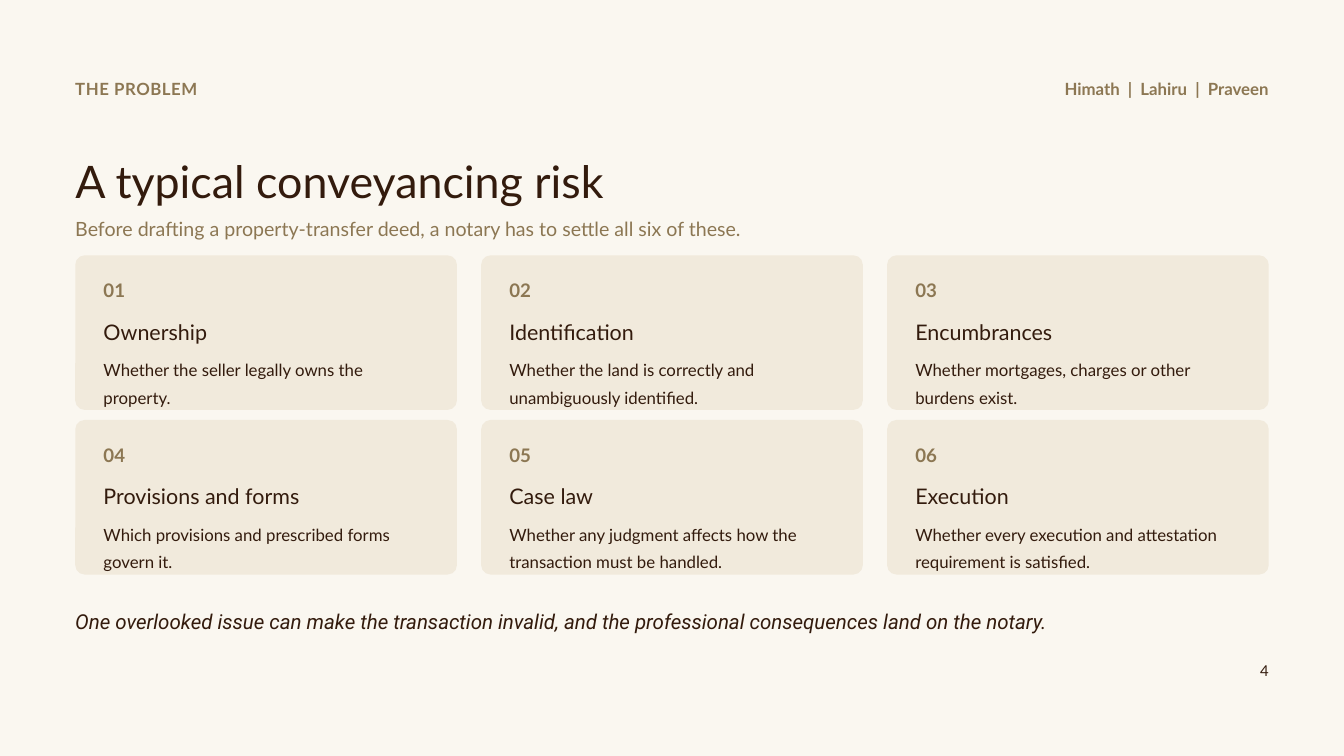
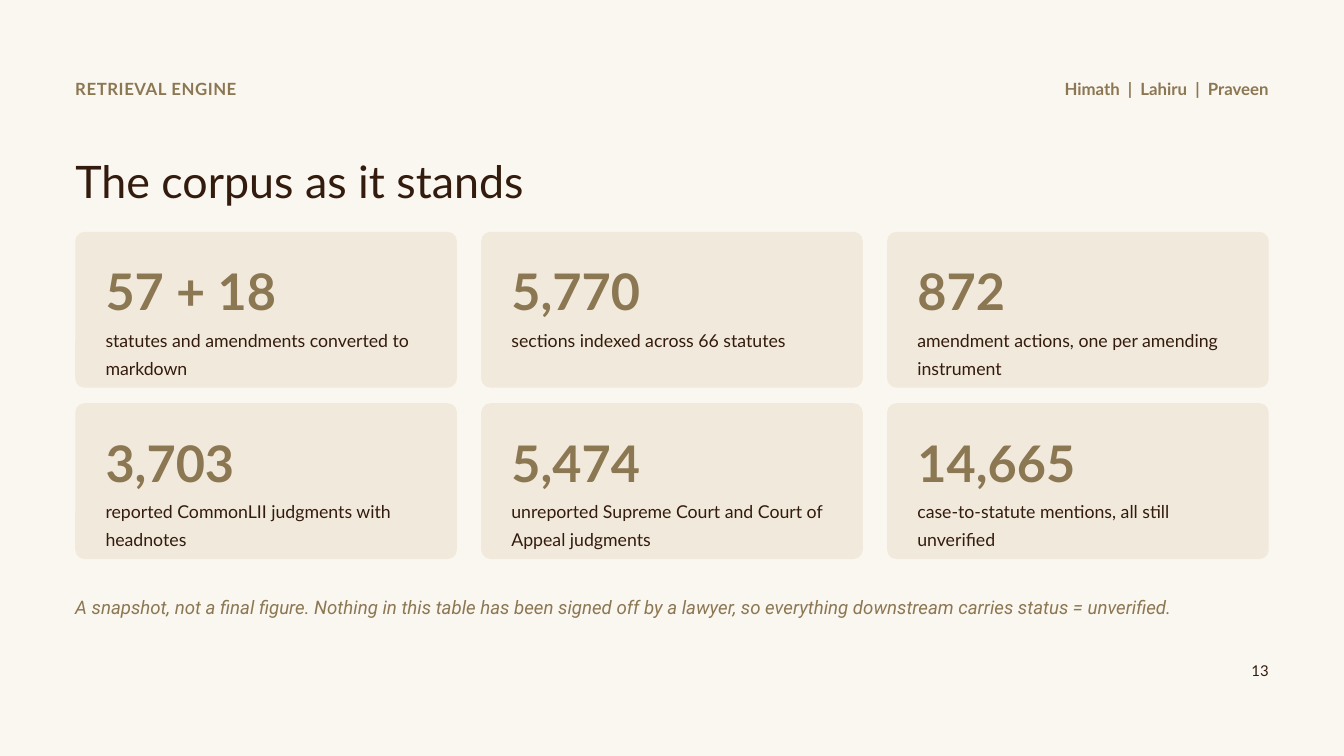
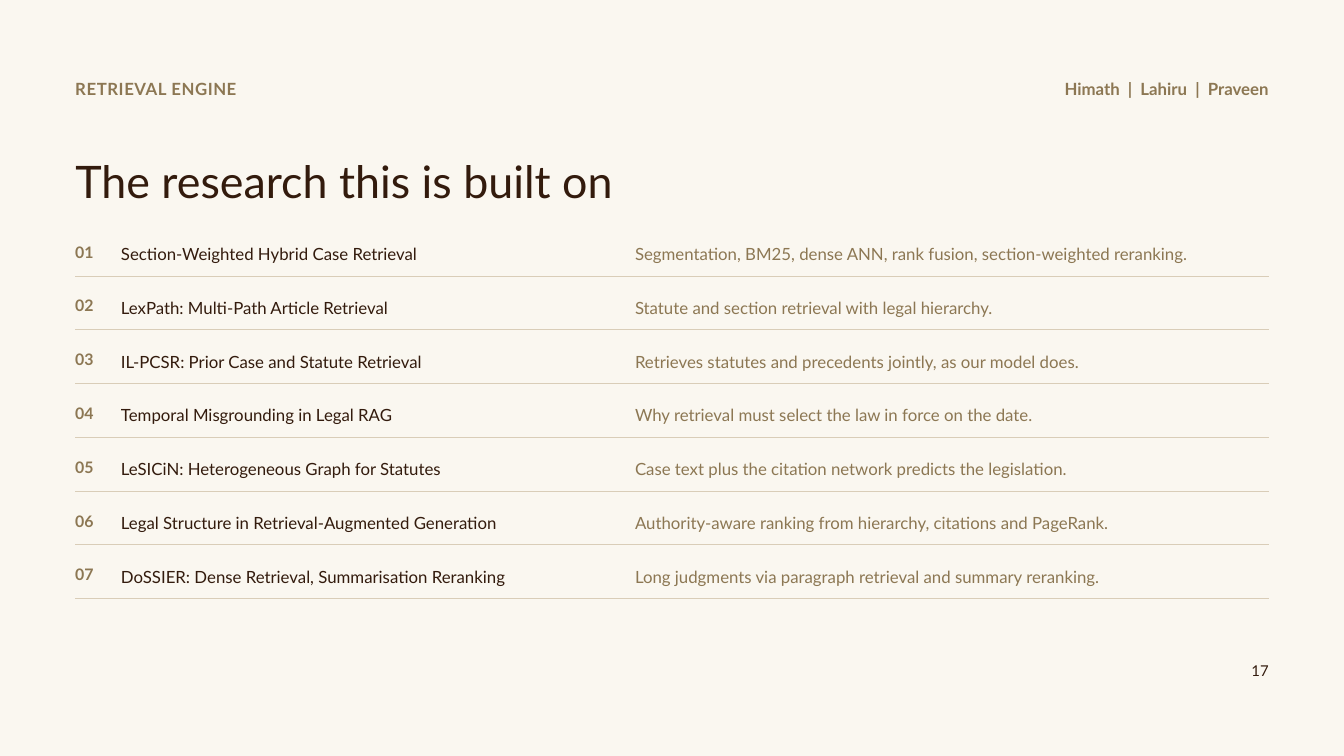
from lxml import etree
from pptx import Presentation
from pptx.dml.color import RGBColor
from pptx.enum.shapes import MSO_CONNECTOR, MSO_SHAPE
from pptx.enum.text import MSO_ANCHOR, MSO_AUTO_SIZE, PP_ALIGN
from pptx.oxml.ns import qn
from pptx.util import Pt

ROUNDED = MSO_SHAPE.ROUNDED_RECTANGLE
STRAIGHT = MSO_CONNECTOR.STRAIGHT
TOP = MSO_ANCHOR.TOP
GROW = MSO_AUTO_SIZE.SHAPE_TO_FIT_TEXT
LEFT, RIGHT = PP_ALIGN.LEFT, PP_ALIGN.RIGHT

CREAM = RGBColor(0xFA, 0xF7, 0xF0)
SAND = RGBColor(0xF1, 0xEA, 0xDC)
RULE = RGBColor(0xD9, 0xCD, 0xB8)
BRONZE = RGBColor(0x8C, 0x77, 0x53)
BROWN = RGBColor(0x33, 0x1B, 0x0D)

AUTHORS = "Himath  |  Lahiru  |  Praveen"

RISK = {
    "section": "THE PROBLEM",
    "title": "A typical conveyancing risk",
    "number": 4,
    "subtitle": "Before drafting a property-transfer deed, a notary has to settle all six of these.",
    "cards": [
        ("Ownership", "Whether the seller legally owns the property."),
        ("Identification", "Whether the land is correctly and unambiguously identified."),
        ("Encumbrances", "Whether mortgages, charges or other burdens exist."),
        ("Provisions and forms", "Which provisions and prescribed forms govern it."),
        ("Case law", "Whether any judgment affects how the transaction must be handled."),
        ("Execution", "Whether every execution and attestation requirement is satisfied."),
    ],
    "closing": "One overlooked issue can make the transaction invalid, "
               "and the professional consequences land on the notary.",
}
CORPUS = {
    "section": "RETRIEVAL ENGINE",
    "title": "The corpus as it stands",
    "number": 13,
    "cards": [
        ("57 + 18", "statutes and amendments converted to markdown"),
        ("5,770", "sections indexed across 66 statutes"),
        ("872", "amendment actions, one per amending instrument"),
        ("3,703", "reported CommonLII judgments with headnotes"),
        ("5,474", "unreported Supreme Court and Court of Appeal judgments"),
        ("14,665", "case-to-statute mentions, all still unverified"),
    ],
    "closing": "A snapshot, not a final figure. Nothing in this table has been signed off "
               "by a lawyer, so everything downstream carries status = unverified.",
}
RESEARCH = {
    "section": "RETRIEVAL ENGINE",
    "title": "The research this is built on",
    "number": 17,
    "papers": [
        ("Section-Weighted Hybrid Case Retrieval",
         "Segmentation, BM25, dense ANN, rank fusion, section-weighted reranking."),
        ("LexPath: Multi-Path Article Retrieval",
         "Statute and section retrieval with legal hierarchy."),
        ("IL-PCSR: Prior Case and Statute Retrieval",
         "Retrieves statutes and precedents jointly, as our model does."),
        ("Temporal Misgrounding in Legal RAG",
         "Why retrieval must select the law in force on the date."),
        ("LeSICiN: Heterogeneous Graph for Statutes",
         "Case text plus the citation network predicts the legislation."),
        ("Legal Structure in Retrieval-Augmented Generation",
         "Authority-aware ranking from hierarchy, citations and PageRank."),
        ("DoSSIER: Dense Retrieval, Summarisation Reranking",
         "Long judgments via paragraph retrieval and summary reranking."),
    ],
}

PAGE_WIDTH, PAGE_HEIGHT = 1440, 810
MARGIN = 80.64
CONTENT_WIDTH = PAGE_WIDTH - 2 * MARGIN
RIGHT_EDGE = PAGE_WIDTH - MARGIN
COLUMNS = 3
COLUMN_GAP = 26
CARD_WIDTH = (CONTENT_WIDTH - (COLUMNS - 1) * COLUMN_GAP) / COLUMNS
CARD_RADIUS = 10
ROW_PITCH = 57.6


def place(shape, left, top, width, height):
    shape.left, shape.top = Pt(left), Pt(top)
    shape.width, shape.height = Pt(width), Pt(height)


def write(shape, text, size, color=BROWN, font="Lato", bold=False, italic=False,
          align=LEFT, spacing=1.05, tracking=None):
    """Fill a shape with one paragraph; tracking is in points."""
    frame = shape.text_frame
    frame.word_wrap = True
    frame.auto_size = GROW
    frame.vertical_anchor = TOP
    frame.margin_left = frame.margin_top = frame.margin_right = frame.margin_bottom = 0
    paragraph = frame.paragraphs[0]
    paragraph.alignment = align
    paragraph.line_spacing = spacing
    run = paragraph.add_run()
    run.text = text
    run.font.name, run.font.size = font, Pt(size)
    run.font.bold, run.font.italic = bold, italic
    run.font.color.rgb = color
    if tracking:
        run._r.get_or_add_rPr().set("spc", str(round(tracking * 100)))


def add_text(slide, text, left, top, width, height, **style):
    box = slide.shapes.add_textbox(0, 0, 0, 0)
    write(box, text, **style)
    place(box, left, top, width, height)


def add_rule(slide, y):
    line = slide.shapes.add_connector(STRAIGHT, Pt(MARGIN), Pt(y), Pt(RIGHT_EDGE), Pt(y))
    line.line.color.rgb = RULE
    line.line.width = Pt(1)
    etree.SubElement(line._element.spPr, qn("a:effectLst"))


def add_card(slide, left, top, height):
    card = slide.shapes.add_shape(ROUNDED, Pt(left), Pt(top), Pt(CARD_WIDTH), Pt(height))
    card.adjustments[0] = CARD_RADIUS / height
    card.fill.solid()
    card.fill.fore_color.rgb = SAND
    card.line.fill.background()
    card.shadow.inherit = False


def add_card_grid(slide, count, top, height, row_gap):
    """Draw the cards row by row and yield the corner of each."""
    for index in range(count):
        row, column = divmod(index, COLUMNS)
        left = MARGIN + column * (CARD_WIDTH + COLUMN_GAP)
        card_top = top + row * (height + row_gap)
        add_card(slide, left, card_top, height)
        yield left, card_top


def add_content_slide(presentation, content):
    slide = presentation.slides.add_slide(presentation.slide_layouts[5])
    title = slide.shapes.title
    write(title, content["title"], size=48, spacing=1.14)
    place(title, MARGIN, 157, 1116, 59)
    add_text(slide, content["section"], MARGIN, 83.5, 648, 23,
             size=18, color=BRONZE, bold=True, tracking=0.6)
    for text, top, height, style in [
        (AUTHORS, 83.5, 23, {"size": 18, "color": BRONZE, "bold": True}),
        (str(content["number"]), 707.8, 21, {"size": 16}),
    ]:
        add_text(slide, text, RIGHT_EDGE - 360, top, 360, height, align=RIGHT, **style)
    return slide


def build_risk(presentation):
    slide = add_content_slide(presentation, RISK)
    add_text(slide, RISK["subtitle"], MARGIN, 224.6, 1008, 32,
             size=21, color=BRONZE, spacing=1.3)
    padding = 30.24
    width = CARD_WIDTH - 2 * padding
    corners = add_card_grid(slide, len(RISK["cards"]), top=273.6, height=165.6, row_gap=10.8)
    for number, ((left, top), (heading, body)) in enumerate(zip(corners, RISK["cards"]), 1):
        left += padding
        add_text(slide, f"{number:02}", left, top + 24.5, 115, 25,
                 size=20, color=BRONZE, bold=True)
        add_text(slide, heading, left, top + 62, width, 32.4, size=23, spacing=1.22)
        add_text(slide, body, left, top + 104.4, width, 53.3, size=18, spacing=1.36)
    add_text(slide, RISK["closing"], MARGIN, 644.4, CONTENT_WIDTH, 33,
             size=22, font="Roboto", italic=True, spacing=1.3)


def build_corpus(presentation):
    slide = add_content_slide(presentation, CORPUS)
    padding = 32.4
    width = CARD_WIDTH - 2 * padding
    corners = add_card_grid(slide, len(CORPUS["cards"]), top=248.4, height=167, row_gap=16.6)
    for (left, top), (figure, caption) in zip(corners, CORPUS["cards"]):
        left += padding
        add_text(slide, figure, left, top + 27.4, width, 61,
                 size=54, color=BRONZE, bold=True)
        add_text(slide, caption, left, top + 97.2, width, 54.7, size=19, spacing=1.32)
    add_text(slide, CORPUS["closing"], MARGIN, 630, CONTENT_WIDTH, 31,
             size=20, color=BRONZE, font="Roboto", italic=True, spacing=1.34)


def build_research(presentation):
    slide = add_content_slide(presentation, RESEARCH)
    name_left, summary_left = 129.6, 680.4
    for index, (name, summary) in enumerate(RESEARCH["papers"]):
        top = 255.6 + index * ROW_PITCH
        add_text(slide, f"{index + 1:02}", MARGIN, top, 43.2, 24.5,
                 size=17, color=BRONZE, bold=True, spacing=1.2)
        add_text(slide, name, name_left, top, 529.2, 27.4, size=18, spacing=1.26)
        add_text(slide, summary, summary_left, top, RIGHT_EDGE - summary_left, 27.4,
                 size=18, color=BRONZE, spacing=1.26)
        add_rule(slide, top + 40.3)


def main():
    presentation = Presentation()
    presentation.slide_width, presentation.slide_height = Pt(PAGE_WIDTH), Pt(PAGE_HEIGHT)
    background = presentation.slide_master.background.fill
    background.solid()
    background.fore_color.rgb = CREAM
    build_risk(presentation)
    build_corpus(presentation)
    build_research(presentation)
    presentation.save("out.pptx")


if __name__ == "__main__":
    main()
